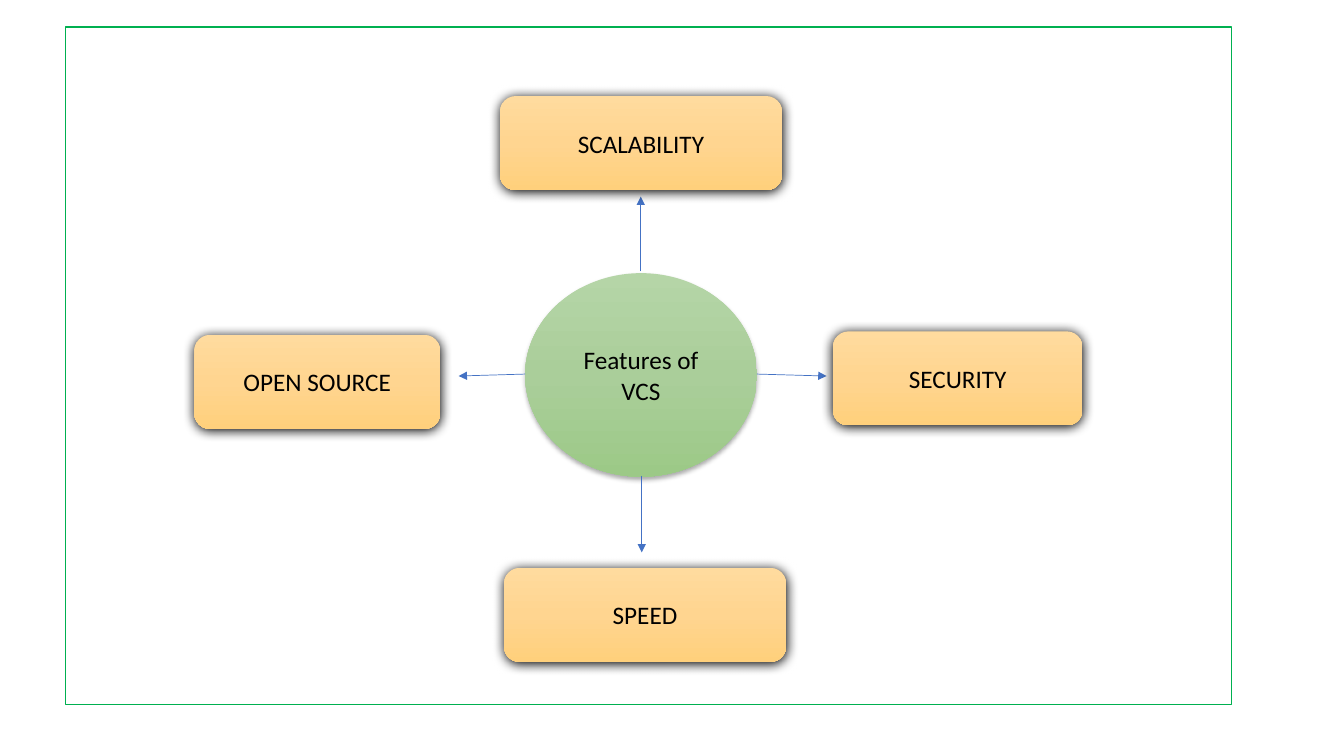
"""Build a slide with a central hub and four feature cards around it."""
import copy

import pptx
import pptx.dml.color
import pptx.enum.shapes
import pptx.enum.text
import pptx.oxml
import pptx.oxml.ns
import pptx.util
from lxml import etree

Pt = pptx.util.Pt
qn = pptx.oxml.ns.qn
KIND = pptx.enum.shapes.MSO_SHAPE

FRAME = (46.8, 19.4, 833, 484)
HUB = ("Features of VCS", (375.1, 195.1, 165.6, 145.4))
HIGH = 67.2
CARDS = [
    ("SCALABILITY", (357.1, 68.6, 201.6)),
    ("SECURITY", (594.9, 236.7, 178.4)),
    ("SPEED", (360, 405.6, 201.6)),
    ("OPEN SOURCE", (138.8, 239.2, 175.7)),
]
ARROWS = [
    (375.1, 267.2, 327.6, 268.6),
    (457.7, 193.9, 457.7, 140.4),
    (540.7, 267.2, 590.4, 268.6),
    (458.4, 339.8, 458.4, 394.6),
]
GREEN = ["B5D5A7", "AACE9A", "9CC987"]
AMBER = ["FFDB9E", "FFD590", "FFD07C"]
SOFT = (32, 3.5, 2.2)
DARK = (100, 8.5, 1)


def tint(color, code):
    """Give a color format the hex code."""
    color.rgb = pptx.dml.color.RGBColor.from_string(code)


def shade(shape, alpha, blur, dist):
    """Add a black shadow that falls straight down."""
    effects = shape._element.spPr.find(qn("a:effectLst"))
    outer = etree.SubElement(effects, qn("a:outerShdw"), blurRad=str(Pt(blur)),
                             dist=str(Pt(dist)), dir="5400000", algn="ctr", rotWithShape="0")
    black = etree.SubElement(outer, qn("a:srgbClr"), val="000000")
    etree.SubElement(black, qn("a:alpha"), val=str(alpha * 1000))


def blend(shape, codes):
    """Fill a shape from top to bottom with evenly spaced colors."""
    shape.fill.gradient()
    shape.fill.gradient_angle = 270
    stops = shape._element.spPr.find(".//" + qn("a:gsLst"))
    stops.insert(1, copy.deepcopy(stops[0]))
    for index, (stop, code) in enumerate(zip(shape.fill.gradient_stops, codes)):
        stop.position = index / (len(codes) - 1)
        tint(stop.color, code)


def add_node(slide, kind, text, box, codes, shadow):
    """Add a shaded shape with a centred label."""
    node = slide.shapes.add_shape(kind, *map(Pt, box))
    node.shadow.inherit = False
    node.line.fill.background()
    blend(node, codes)
    shade(node, *shadow)
    frame = node.text_frame
    frame.text = text
    frame.word_wrap = True
    frame.vertical_anchor = pptx.enum.text.MSO_ANCHOR.MIDDLE
    label = frame.paragraphs[0]
    label.alignment = pptx.enum.text.PP_ALIGN.CENTER
    font = label.runs[0].font
    font.name = "Calibri"
    font.size = Pt(18)
    tint(font.color, "000000")


def add_arrow(slide, ends):
    """Add a thin blue arrow."""
    arrow = slide.shapes.add_connector(pptx.enum.shapes.MSO_CONNECTOR.STRAIGHT, *map(Pt, ends))
    tint(arrow.line.color, "4472C4")
    arrow.line.width = Pt(0.5)
    etree.SubElement(arrow.line._get_or_add_ln(), qn("a:tailEnd"), type="triangle")
    etree.SubElement(arrow._element.spPr, qn("a:effectLst"))


deck = pptx.Presentation()
deck.slide_width, deck.slide_height = Pt(960), Pt(540)
slide = deck.slides.add_slide(deck.slide_layouts[6])

border = slide.shapes.add_shape(KIND.RECTANGLE, *map(Pt, FRAME))
border.shadow.inherit = False
border.fill.solid()
tint(border.fill.fore_color, "FFFFFF")
tint(border.line.color, "00B050")
border.line.width = Pt(1)

add_node(slide, KIND.OVAL, *HUB, GREEN, SOFT)
for ends in ARROWS:
    add_arrow(slide, ends)
for text, spot in CARDS:
    add_node(slide, KIND.ROUNDED_RECTANGLE, text, (*spot, HIGH), AMBER, DARK)

deck.save("out.pptx")
